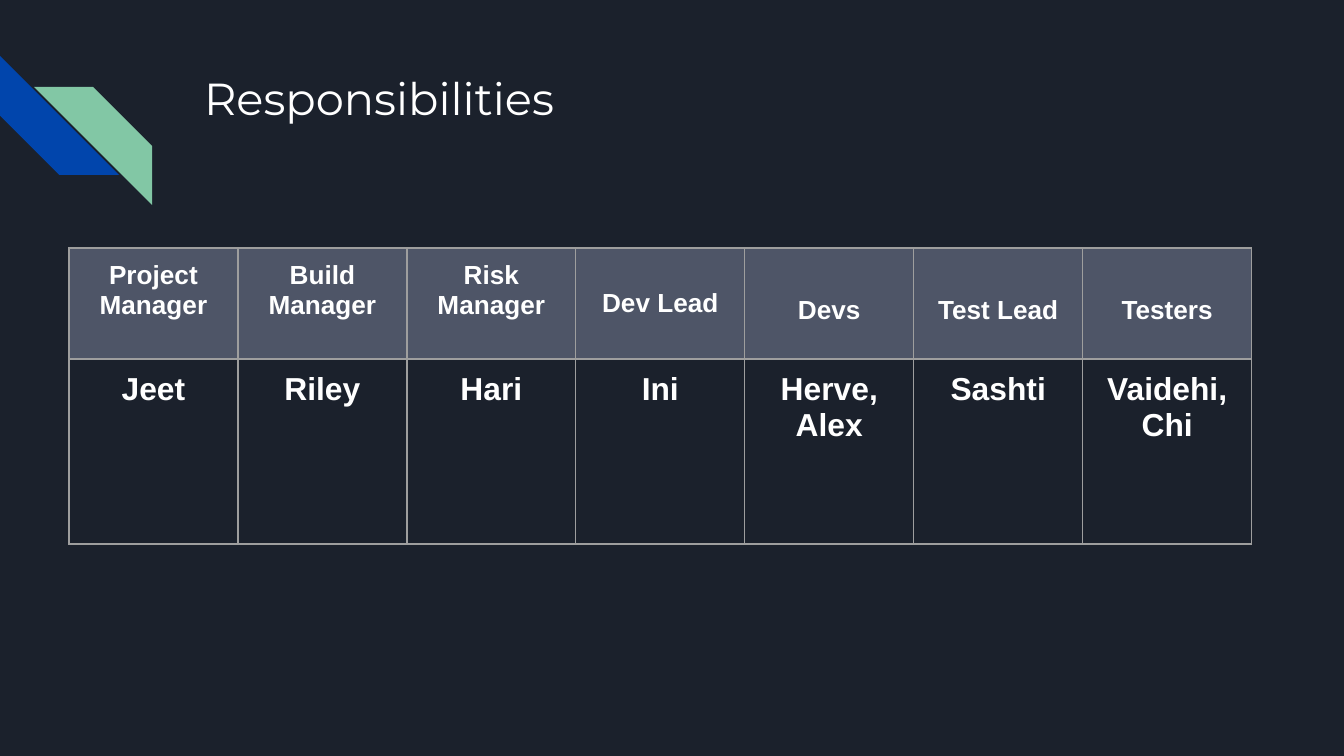
from lxml.etree import SubElement
from pptx import Presentation
from pptx.dml.color import RGBColor
from pptx.enum.shapes import MSO_SHAPE as Shape
from pptx.enum.text import MSO_ANCHOR as Anchor, MSO_AUTO_SIZE as Fit, PP_ALIGN as Align
from pptx.oxml.ns import qn
from pptx.util import Emu, Pt

NIGHT = RGBColor(0x1B, 0x21, 0x2C)
BLUE = RGBColor(0x01, 0x45, 0xAC)
GREEN = RGBColor(0x82, 0xC7, 0xA5)
SLATE = RGBColor(0x4E, 0x55, 0x67)
GRAY = RGBColor(0x9E, 0x9E, 0x9E)
WHITE = RGBColor(0xFF, 0xFF, 0xFF)

# Role, names, anchor, line spacing, space before, space after
TEAM = [
    ("Project Manager", "Jeet", Anchor.TOP, 1, 0, 0),
    ("Build Manager", "Riley", Anchor.TOP, 1, 0, 0),
    ("Risk Manager", "Hari", Anchor.TOP, 1, 0, 0),
    ("Dev Lead", "Ini", Anchor.MIDDLE, 1, 0, 10),
    ("Devs", "Herve, Alex", Anchor.MIDDLE, 1.5, 10, 0),
    ("Test Lead", "Sashti", Anchor.MIDDLE, 1.5, 10, 0),
    ("Testers", "Vaidehi, Chi", Anchor.MIDDLE, 1.5, 10, 0),
]
COL = 169
ROWS = (111, 185)
PAD = 13


def px(n):
    return Emu(round(n * 914400 / 134.4))


def pad(box):
    box.margin_left = box.margin_right = px(PAD)
    box.margin_top = box.margin_bottom = px(PAD)


def style(font, name, size, bold=False):
    font.name, font.size, font.bold = name, Pt(size), bold
    font.color.rgb = WHITE


def add_stripe(slide, x, y, size, turn, color):
    stripe = slide.shapes.add_shape(Shape.DIAGONAL_STRIPE, px(x), px(y), px(size), px(size))
    stripe.rotation = turn
    stripe.shadow.inherit = False
    stripe.fill.solid()
    stripe.fill.fore_color.rgb = color
    stripe.line.fill.background()


def set_title(slide, text):
    title = slide.shapes.title
    title.left, title.top, title.width, title.height = px(191), px(58), px(1035), px(134)
    frame = title.text_frame
    frame.text = text
    frame.word_wrap = True
    frame.auto_size = Fit.NONE
    frame.vertical_anchor = Anchor.TOP
    pad(frame)
    para = frame.paragraphs[0]
    para.alignment = Align.LEFT
    style(para.font, "Montserrat", 24)


def add_edges(cell):
    props = cell._tc.get_or_add_tcPr()
    for side in ("a:lnL", "a:lnR", "a:lnT", "a:lnB"):
        line = SubElement(props, qn(side), w=str(Pt(0.75)))
        fill = SubElement(line, qn("a:solidFill"))
        SubElement(fill, qn("a:srgbClr"), val=str(GRAY))


def fill_cell(cell, text, size, color=None):
    add_edges(cell)
    if color is None:
        cell.fill.background()
    else:
        cell.fill.solid()
        cell.fill.fore_color.rgb = color
    pad(cell)
    cell.text = text
    para = cell.text_frame.paragraphs[0]
    para.alignment = Align.CENTER
    style(para.font, "Arial", size, True)
    return para


def add_team(slide):
    frame = slide.shapes.add_table(len(ROWS), len(TEAM), px(69), px(248),
                                   px(COL * len(TEAM)), px(sum(ROWS)))
    table = frame.table
    table.first_row = table.horz_banding = False
    for row, high in zip(table.rows, ROWS):
        row.height = px(high)
    for i, (role, names, anchor, lead, before, after) in enumerate(TEAM):
        table.columns[i].width = px(COL)
        head = table.cell(0, i)
        para = fill_cell(head, role, 14, SLATE)
        head.vertical_anchor = anchor
        para.line_spacing = lead
        para.space_before, para.space_after = Pt(before), Pt(after)
        fill_cell(table.cell(1, i), names, 17)


def main():
    deck = Presentation()
    deck.slide_width, deck.slide_height = px(1344), px(756)
    slide = deck.slides.add_slide(deck.slide_layouts[5])
    slide.background.fill.solid()
    slide.background.fill.fore_color.rgb = NIGHT

    # Corner stripes
    add_stripe(slide, 0, 56, 119, 270, BLUE)
    add_stripe(slide, 34, 87, 118, 90, GREEN)

    # Heading and team table
    set_title(slide, "Responsibilities")
    add_team(slide)
    deck.save("out.pptx")


if __name__ == "__main__":
    main()
